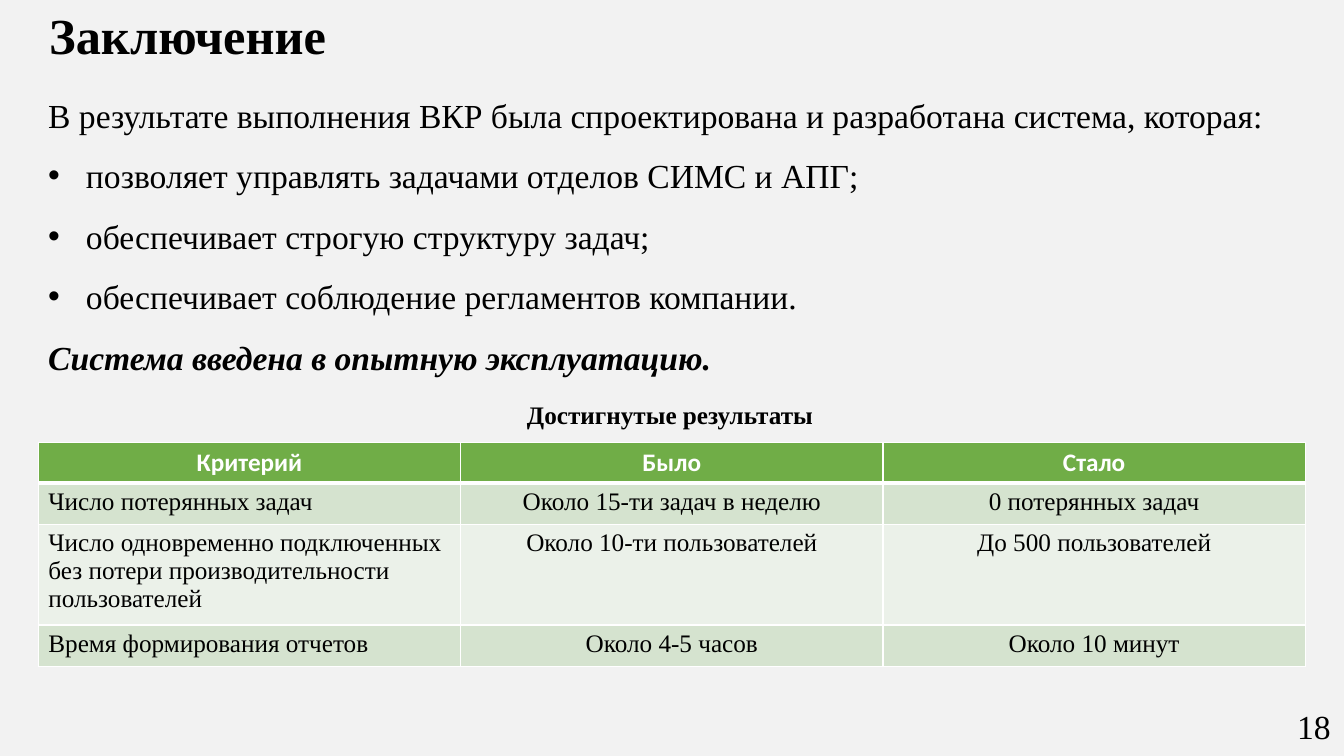
import dataclasses
import typing

import lxml.etree
import pptx
import pptx.dml.color
import pptx.enum.text
import pptx.oxml.ns
import pptx.util

Align = pptx.enum.text.PP_ALIGN
Anchor = pptx.enum.text.MSO_ANCHOR
qualified = pptx.oxml.ns.qn

COLORS = {
    "background": "F2F2F2",
    "text": "000000",
    "white": "FFFFFF",
    "header": "70AD47",
    "band_dark": "D5E3CF",
    "band_light": "EBF1E9",
}
SERIF = "Times New Roman"
GRID_STEP = 0.1
SLIDE_COLUMNS, SLIDE_ROWS = 133.33, 75
TABLE_ROW_HEIGHTS = (4, 4.1, 10, 4.1)
TABLE_COLUMN_WIDTH = 41.9


@dataclasses.dataclass(frozen=True)
class Box:
    column: float
    row: float
    columns: float
    rows: float


@dataclasses.dataclass(frozen=True)
class Line:
    text: str
    bullet: bool = False
    emphasis: bool = False


RESULTS = (
    Line("В результате выполнения ВКР была спроектирована и разработана система, которая:"),
    Line("позволяет управлять задачами отделов СИМС и АПГ;", bullet=True),
    Line("обеспечивает строгую структуру задач;", bullet=True),
    Line("обеспечивает соблюдение регламентов компании.", bullet=True),
    Line("Система введена в опытную эксплуатацию.", emphasis=True),
)
CRITERIA = (
    ("Критерий", "Было", "Стало"),
    ("Число потерянных задач", "Около 15-ти задач в неделю", "0 потерянных задач"),
    (
        "Число одновременно подключенных без потери производительности пользователей",
        "Около 10-ти пользователей",
        "До 500 пользователей",
    ),
    ("Время формирования отчетов", "Около 4-5 часов", "Около 10 минут"),
)


def grid(steps: float) -> int:
    return pptx.util.Inches(steps * GRID_STEP)


def place(box: Box) -> tuple[int, int, int, int]:
    return grid(box.column), grid(box.row), grid(box.columns), grid(box.rows)


def color(name: str) -> pptx.dml.color.RGBColor:
    return pptx.dml.color.RGBColor.from_string(COLORS[name])


def write(
    paragraph: typing.Any,
    text: str,
    *,
    size: float = 24,
    font: str = SERIF,
    fill: str = "text",
    bold: bool = False,
    italic: bool = False,
    align: Align = Align.LEFT,
    spacing: float = 1.0,
    indent: float = 0,
    bullet: bool = False,
) -> None:
    paragraph.alignment = align
    paragraph.line_spacing = spacing
    run = paragraph.add_run()
    run.text = text
    run.font.size = pptx.util.Pt(size)
    run.font.name = font
    run.font.bold = bold
    run.font.italic = italic
    run.font.color.rgb = color(fill)
    properties = paragraph._p.get_or_add_pPr()
    if indent:
        properties.set("marL", str(grid(indent)))
    if bullet:
        properties.set("indent", str(-grid(indent)))
        bullet_font = lxml.etree.SubElement(properties, qualified("a:buFont"))
        bullet_font.set("typeface", "Arial")
        lxml.etree.SubElement(properties, qualified("a:buChar")).set("char", "•")


def add_text_frame(
    slide: typing.Any, box: Box, anchor: Anchor = Anchor.TOP, wrap: bool = True
) -> typing.Any:
    frame = slide.shapes.add_textbox(*place(box)).text_frame
    frame.word_wrap = wrap
    frame.vertical_anchor = anchor
    return frame


def add_results(slide: typing.Any, box: Box, lines: tuple[Line, ...]) -> None:
    frame = add_text_frame(slide, box)
    for index, line in enumerate(lines):
        paragraph = frame.add_paragraph() if index else frame.paragraphs[0]
        write(
            paragraph,
            line.text,
            bold=line.emphasis,
            italic=line.emphasis,
            spacing=1.5,
            indent=3.75 if line.bullet else 0,
            bullet=line.bullet,
        )


def set_borders(cell: typing.Any, bottom: float, top: float) -> None:
    properties = cell._tc.get_or_add_tcPr()
    widths = {"a:lnL": 1, "a:lnR": 1, "a:lnT": top, "a:lnB": bottom}
    for index, (side, width) in enumerate(widths.items()):
        border = lxml.etree.Element(qualified(side), w=str(pptx.util.Pt(width)))
        solid = lxml.etree.SubElement(border, qualified("a:solidFill"))
        lxml.etree.SubElement(solid, qualified("a:srgbClr")).set("val", COLORS["white"])
        properties.insert(index, border)


def add_criteria(slide: typing.Any, column: float, row: float) -> None:
    column_count = len(CRITERIA[0])
    box = Box(column, row, column_count * TABLE_COLUMN_WIDTH, sum(TABLE_ROW_HEIGHTS))
    table = slide.shapes.add_table(len(CRITERIA), column_count, *place(box)).table
    for table_column in table.columns:
        table_column.width = grid(TABLE_COLUMN_WIDTH)
    for row_index, texts in enumerate(CRITERIA):
        table.rows[row_index].height = grid(TABLE_ROW_HEIGHTS[row_index])
        header = row_index == 0
        band = "header" if header else "band_dark" if row_index % 2 else "band_light"
        for column_index, text in enumerate(texts):
            cell = table.cell(row_index, column_index)
            cell.fill.solid()
            cell.fill.fore_color.rgb = color(band)
            set_borders(cell, bottom=3 if header else 1, top=3 if row_index == 1 else 1)
            write(
                cell.text_frame.paragraphs[0],
                text,
                size=18,
                font="Calibri" if header else SERIF,
                fill="white" if header else "text",
                bold=header,
                align=Align.CENTER if header or column_index else Align.LEFT,
            )


def main() -> None:
    presentation = pptx.Presentation()
    presentation.slide_width = grid(SLIDE_COLUMNS)
    presentation.slide_height = grid(SLIDE_ROWS)
    slide = presentation.slides.add_slide(presentation.slide_layouts[6])
    slide.background.fill.solid()
    slide.background.fill.fore_color.rgb = color("background")

    title = add_text_frame(slide, Box(0, -0.1, SLIDE_COLUMNS, 7.1))
    write(title.paragraphs[0], "Заключение", size=36, bold=True, indent=3.9)
    add_results(slide, Box(3.8, 6.9, 126, 62.2), RESULTS)
    number = add_text_frame(slide, Box(127.4, 69.1, 5.9, 5.9), anchor=Anchor.MIDDLE)
    write(number.paragraphs[0], "18", align=Align.CENTER)
    add_criteria(slide, 3.8, 43.9)
    caption = add_text_frame(slide, Box(51.3, 39.1, 30.7, 4), wrap=False)
    write(caption.paragraphs[0], "Достигнутые результаты", size=18, bold=True)
    presentation.save("out.pptx")


if __name__ == "__main__":
    main()
